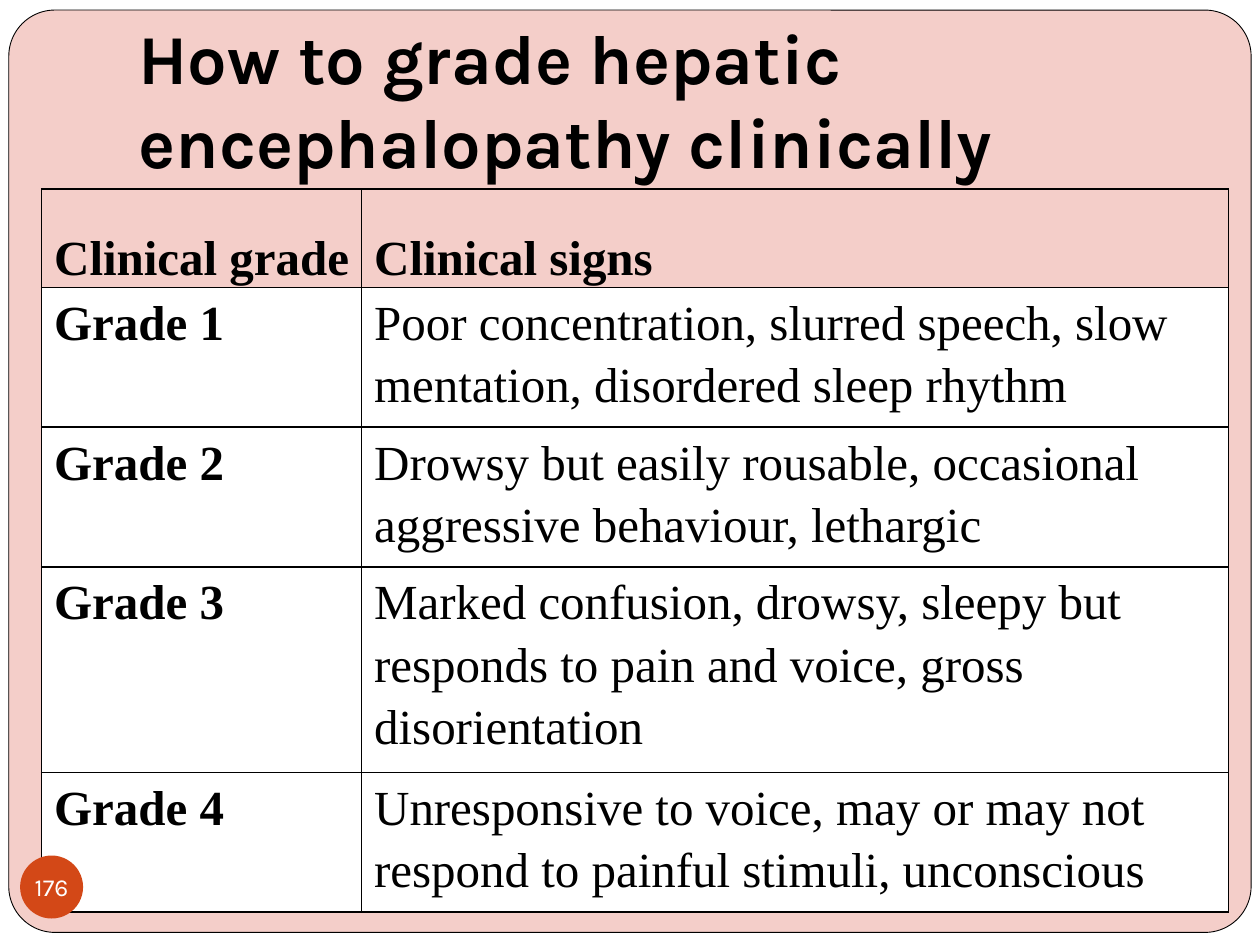
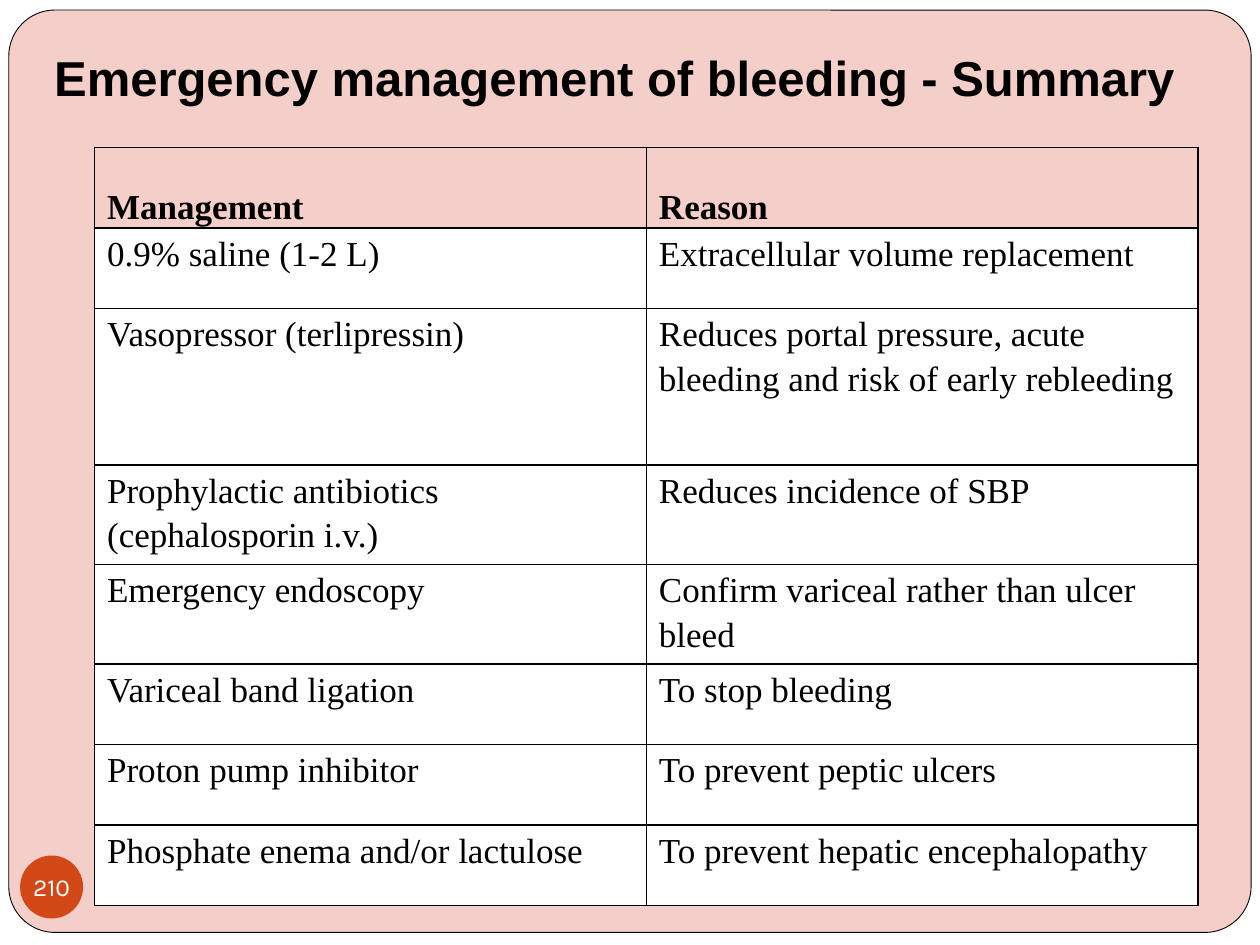
"""Build two clinical table slides that share a frame, a title style and a page badge."""
import dataclasses
import lxml.etree
import pptx
import pptx.dml.color
import pptx.enum.shapes
import pptx.enum.text
import pptx.oxml.ns
import pptx.util

Inches = pptx.util.Inches
Pt = pptx.util.Pt
Shape = pptx.enum.shapes.MSO_SHAPE
Align = pptx.enum.text.PP_ALIGN
Anchor = pptx.enum.text.MSO_ANCHOR
Fit = pptx.enum.text.MSO_AUTO_SIZE
qn = pptx.oxml.ns.qn


@dataclasses.dataclass(frozen=True)
class Theme:
    """Colours, fonts and type sizes."""
    ink: str = "000000"
    paper: str = "FFFFFF"
    blush: str = "F4CEC9"
    rust: str = "D34817"
    sans: str = "Karla"
    plain: str = "Arial"
    serif: str = "Times New Roman"
    huge: int = 40
    large: int = 28
    mid: int = 20
    small: int = 14


def color(code):
    """Turn a hex code into a colour."""
    return pptx.dml.color.RGBColor.from_string(code)


def apply(target, values):
    """Set each attribute named in a dict."""
    for name, value in values.items():
        setattr(target, name, value)


def insets(left, top, right, bottom):
    """Give the four margins as a dict."""
    sides = ("left", "top", "right", "bottom")
    return {f"margin_{side}": Inches(gap) for side, gap in zip(sides, (left, top, right, bottom))}


class Deck:
    """Hold the style and the current slide."""

    def __init__(self, theme):
        """Start an empty deck."""
        self.theme = theme
        self.show = pptx.Presentation()
        self.show.slide_width, self.show.slide_height = Inches(10), Inches(7.5)
        self.slide = None

    def page(self):
        """Add a slide with the rounded frame."""
        self.slide = self.show.slides.add_slide(self.show.slide_layouts[5])
        back = self.slide.background.fill
        back.solid()
        back.fore_color.rgb = color(self.theme.paper)
        frame = self.shape(Shape.ROUNDED_RECTANGLE, (0.07, 0.08, 9.86, 7.32), self.theme.blush)
        frame.adjustments[0] = 0.05
        frame.line.fill.solid()
        frame.line.color.rgb = color(self.theme.ink)
        frame.line.width = Pt(0.5)

    def shape(self, kind, box, fill):
        """Add a flat shape without a line."""
        item = self.slide.shapes.add_shape(kind, *map(Inches, box))
        item.shadow.inherit = False
        item.fill.solid()
        item.fill.fore_color.rgb = color(fill)
        item.line.fill.background()
        return item

    def label(self, frame, text, face, size, ink, bold=False, **look):
        """Fill a text frame with one styled paragraph."""
        frame.text = text
        para = frame.paragraphs[0]
        apply(para, look)
        apply(para.runs[0].font, {"name": face, "size": Pt(size), "bold": bold})
        para.runs[0].font.color.rgb = color(ink)

    def title(self, text, box, face, size, anchor, pad):
        """Place the title in front of the frame."""
        item = self.slide.shapes.title
        item._element.getparent().append(item._element)
        apply(item, dict(zip(("left", "top", "width", "height"), map(Inches, box))))
        frame = item.text_frame
        apply(frame, {"word_wrap": True, "auto_size": Fit.NONE, "vertical_anchor": anchor, **pad})
        self.label(frame, text, face, size, self.theme.ink, True, alignment=Align.LEFT)

    def border(self, cell):
        """Draw a thin line on each side of a cell."""
        props = cell._tc.get_or_add_tcPr()
        for side in ("lnL", "lnR", "lnT", "lnB"):
            line = lxml.etree.SubElement(props, qn(f"a:{side}"), w=str(Pt(1)))
            fill = lxml.etree.SubElement(line, qn("a:solidFill"))
            lxml.etree.SubElement(fill, qn("a:srgbClr"), val=self.theme.ink)

    def table(self, spot, cols, rows, data, size, lead=False):
        """Add a ruled table with a clear header row."""
        extent = (sum(cols), sum(rows))
        grid = self.slide.shapes.add_table(len(rows), len(cols), *map(Inches, spot + extent)).table
        apply(grid, {"first_row": False, "horz_banding": False})
        for col, width in zip(grid.columns, cols):
            col.width = Inches(width)
        for row, height in zip(grid.rows, rows):
            row.height = Inches(height)
        for r, texts in enumerate(data):
            for c, text in enumerate(texts):
                cell = grid.cell(r, c)
                head = r == 0
                self.border(cell)
                if head:
                    cell.fill.background()
                else:
                    cell.fill.solid()
                    cell.fill.fore_color.rgb = color(self.theme.paper)
                apply(cell, {"vertical_anchor": Anchor.BOTTOM if head else Anchor.TOP,
                             **insets(0.1, 0.01, 0.01, 0.01)})
                self.label(cell.text_frame, text, self.theme.serif, size, self.theme.ink,
                           head or (lead and c == 0), line_spacing=1.15)

    def badge(self, number):
        """Add the round page number."""
        item = self.shape(Shape.OVAL, (0.16, 6.79, 0.5, 0.5), self.theme.rust)
        apply(item.text_frame, {"word_wrap": False, "vertical_anchor": Anchor.MIDDLE,
                                **insets(0, 0, 0, 0)})
        self.label(item.text_frame, number, self.theme.sans, self.theme.small,
                   self.theme.paper, alignment=Align.CENTER)


GRADES = [
    ("Clinical grade", "Clinical signs"),
    ("Grade 1", "Poor concentration, slurred speech, slow mentation, disordered sleep rhythm"),
    ("Grade 2", "Drowsy but easily rousable, occasional aggressive behaviour, lethargic"),
    ("Grade 3", "Marked confusion, drowsy, sleepy but responds to pain and voice, "
                "gross disorientation"),
    ("Grade 4", "Unresponsive to voice, may or may not respond to painful stimuli, unconscious"),
]
STEPS = [
    ("Management", "Reason"),
    ("0.9% saline (1-2 L)", "Extracellular volume replacement"),
    ("Vasopressor (terlipressin)",
     "Reduces portal pressure, acute bleeding and risk of early rebleeding"),
    ("Prophylactic antibiotics (cephalosporin i.v.)", "Reduces incidence of SBP"),
    ("Emergency endoscopy", "Confirm variceal rather than ulcer bleed"),
    ("Variceal band ligation", "To stop bleeding"),
    ("Proton pump inhibitor", "To prevent peptic ulcers"),
    ("Phosphate enema and/or lactulose", "To prevent hepatic encephalopathy"),
]


def main():
    """Build and save both slides."""
    theme = Theme()
    deck = Deck(theme)

    deck.page()
    deck.title("How to grade hepatic encephalopathy clinically", (1, 0.3, 8.5, 1.25),
               theme.sans, theme.huge, Anchor.BOTTOM, insets(0.1, 0.05, 0.1, 0.1))
    deck.table((0.33, 1.5), (2.54, 6.88), (0.78, 1.11, 1.11, 1.63, 1.11),
               GRADES, theme.large, lead=True)
    deck.badge("176")

    deck.page()
    deck.title("Emergency management of bleeding - Summary", (0.33, 0.33, 9.25, 0.57),
               theme.plain, theme.large, Anchor.TOP, insets(0.1, 0.05, 0.1, 0.05))
    deck.table((0.75, 1.17), (4.38, 4.38), (0.64, 0.64, 1.24, 0.79, 0.79, 0.64, 0.64, 0.64),
               STEPS, theme.mid)
    deck.badge("210")

    deck.show.save("out.pptx")


if __name__ == "__main__":
    main()
